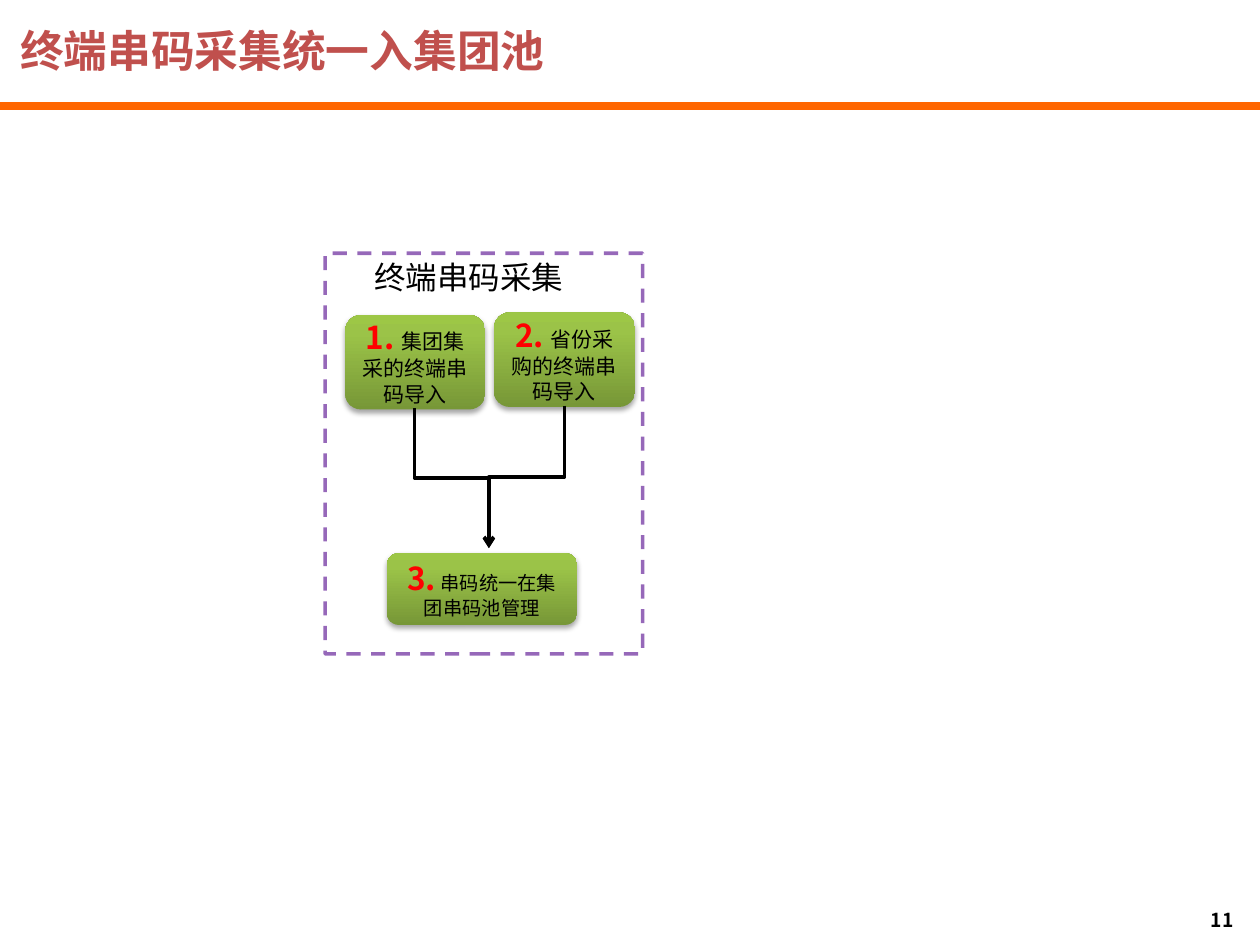
from dataclasses import dataclass
from typing import NamedTuple

from lxml import etree
from pptx import Presentation
from pptx.dml.color import RGBColor
from pptx.enum import dml, shapes, text
from pptx.oxml import parse_xml
from pptx.oxml.ns import nsdecls, qn
from pptx.util import Inches, Pt


@dataclass(frozen=True)
class Theme:
    font: str = "Noto Sans CJK SC"
    title: str = "C0504D"
    rule: str = "FF6600"
    frame: str = "7030A0"
    ink: str = "000000"
    paper: str = "FFFFFF"
    number: str = "FF0000"
    step_stops: tuple = ((0, "779737"), (80, "9BC348"), (100, "9DC746"))
    title_size: int = 25
    heading_size: int = 18
    step_size: int = 12
    small_size: int = 11


class Box(NamedTuple):
    left: float
    top: float
    width: float
    height: float

    def lengths(self) -> list:
        return [Inches(value) for value in self]


class Step(NamedTuple):
    number: str
    wording: str
    box: Box
    size: int
    insets: tuple = (0.1, 0.05)


class Link(NamedTuple):
    start: tuple
    end: tuple


THEME = Theme()
STEPS = (
    Step("3.", " 串码统一在集团串码池管理", Box(3.07, 4.39, 1.51, 0.57),
         THEME.small_size, (0.09, 0.04)),
    Step("1. ", "集团集采的终端串码导入", Box(2.74, 2.5, 1.11, 0.75), THEME.step_size),
    Step("2. ", "省份采购的终端串码导入", Box(3.92, 2.48, 1.12, 0.75), THEME.step_size),
)
MERGE_POINT = (3.88, 4.35)
LINKS = (Link((3.29, 3.24), MERGE_POINT), Link((4.48, 3.22), MERGE_POINT))


def add_text(paragraph, wording: str, *, size: int, color: str = THEME.ink,
             bold: bool = False, align=text.PP_ALIGN.LEFT) -> None:
    paragraph.alignment = align
    run = paragraph.add_run()
    run.text = wording
    font = run.font
    font.name, font.size, font.bold = THEME.font, Pt(size), bold
    font.color.rgb = RGBColor.from_string(color)
    east_asian = etree.SubElement(run._r.get_or_add_rPr(), qn("a:ea"))
    east_asian.set("typeface", THEME.font)


def set_frame(shape, insets: tuple = (0.1, 0.05), anchor=text.MSO_ANCHOR.MIDDLE,
              auto_size=text.MSO_AUTO_SIZE.NONE):
    frame = shape.text_frame
    frame.word_wrap = True
    frame.auto_size = auto_size
    frame.vertical_anchor = anchor
    frame.margin_left = frame.margin_right = Inches(insets[0])
    frame.margin_top = frame.margin_bottom = Inches(insets[1])
    return frame.paragraphs[0]


def set_line(line, color: str, width: float) -> None:
    line.color.rgb = RGBColor.from_string(color)
    line.width = Pt(width)


def add_line(slide, kind, start: tuple, end: tuple, color: str, width: float):
    points = [Inches(value) for value in (*start, *end)]
    line = slide.shapes.add_connector(kind, *points)
    set_line(line.line, color, width)
    etree.SubElement(line._element.spPr, qn("a:effectLst"))
    return line


def add_step(slide, step: Step) -> None:
    shape = slide.shapes.add_shape(shapes.MSO_SHAPE.ROUNDED_RECTANGLE, *step.box.lengths())
    shape.line.fill.background()
    stops = "".join(f'<a:gs pos="{pos * 1000}"><a:srgbClr val="{color}"/></a:gs>'
                    for pos, color in THEME.step_stops)
    properties = shape._element.spPr
    properties.find(qn("a:prstGeom")).addnext(parse_xml(
        f'<a:gradFill {nsdecls("a")} rotWithShape="1"><a:gsLst>{stops}</a:gsLst>'
        '<a:lin ang="16200000" scaled="0"/></a:gradFill>'))
    properties.append(parse_xml(
        f'<a:effectLst {nsdecls("a")}><a:outerShdw blurRad="{Pt(3.1)}" dist="{Pt(1.8)}" '
        f'dir="5400000" rotWithShape="0"><a:srgbClr val="{THEME.ink}">'
        '<a:alpha val="35000"/></a:srgbClr></a:outerShdw></a:effectLst>'))
    paragraph = set_frame(shape, step.insets)
    center = text.PP_ALIGN.CENTER
    add_text(paragraph, step.number, size=THEME.heading_size, color=THEME.number,
             bold=True, align=center)
    add_text(paragraph, step.wording, size=step.size, align=center)


def add_link(slide, link: Link) -> None:
    """Draw an elbow that leaves downwards, as a sideways elbow turned a quarter."""
    (x1, y1), (x2, y2) = link
    mid_x, mid_y = (x1 + x2) / 2, (y1 + y2) / 2
    half_run, half_rise = (y2 - y1) / 2, abs(x2 - x1) / 2
    to_right = x2 > x1
    side = 1 if to_right else -1
    elbow = add_line(slide, shapes.MSO_CONNECTOR.ELBOW,
                     (mid_x + side * half_run, mid_y - half_rise),
                     (mid_x - side * half_run, mid_y + half_rise), THEME.ink, 2)
    elbow._element.spPr.find(qn("a:xfrm")).set("rot", "16200000" if to_right else "5400000")
    etree.SubElement(elbow.line._get_or_add_ln(), qn("a:tailEnd")).set("type", "arrow")


def main() -> None:
    deck = Presentation()
    deck.slide_width, deck.slide_height = Inches(10), Inches(7.5)
    slide = deck.slides.add_slide(deck.slide_layouts[5])

    # Title, rule and page number
    add_line(slide, shapes.MSO_CONNECTOR.STRAIGHT, (0, 0.84), (10, 0.84), THEME.rule, 4.5)
    title = slide.shapes.title
    title.left, title.top, title.width, title.height = Box(0.06, 0.19, 8.16, 0.41).lengths()
    add_text(set_frame(title), "终端串码采集统一入集团池", size=THEME.title_size,
             color=THEME.title, bold=True)
    page = slide.shapes.add_textbox(*Box(8.96, 7.16, 0.93, 0.24).lengths())
    add_text(set_frame(page, anchor=text.MSO_ANCHOR.TOP), "11", size=THEME.small_size,
             bold=True, align=text.PP_ALIGN.RIGHT)

    # Dashed frame with its heading
    group = slide.shapes.add_shape(shapes.MSO_SHAPE.RECTANGLE, *Box(2.58, 2.01, 2.52, 3.18).lengths())
    group.shadow.inherit = False
    group.fill.solid()
    group.fill.fore_color.rgb = RGBColor.from_string(THEME.paper)
    set_line(group.line, THEME.frame, 2)
    group.line.dash_style = dml.MSO_LINE.DASH
    frame_color = group.line._get_or_add_ln().find(".//" + qn("a:srgbClr"))
    etree.SubElement(frame_color, qn("a:alpha")).set("val", "73000")
    heading = slide.shapes.add_textbox(*Box(2.88, 2.01, 1.89, 0.39).lengths())
    add_text(set_frame(heading, (0.09, 0.04), text.MSO_ANCHOR.TOP,
                       text.MSO_AUTO_SIZE.SHAPE_TO_FIT_TEXT),
             "终端串码采集", size=THEME.heading_size)

    # Steps and the links that merge into the pool
    for step in STEPS:
        add_step(slide, step)
    for link in LINKS:
        add_link(slide, link)

    deck.save("out.pptx")


main()
